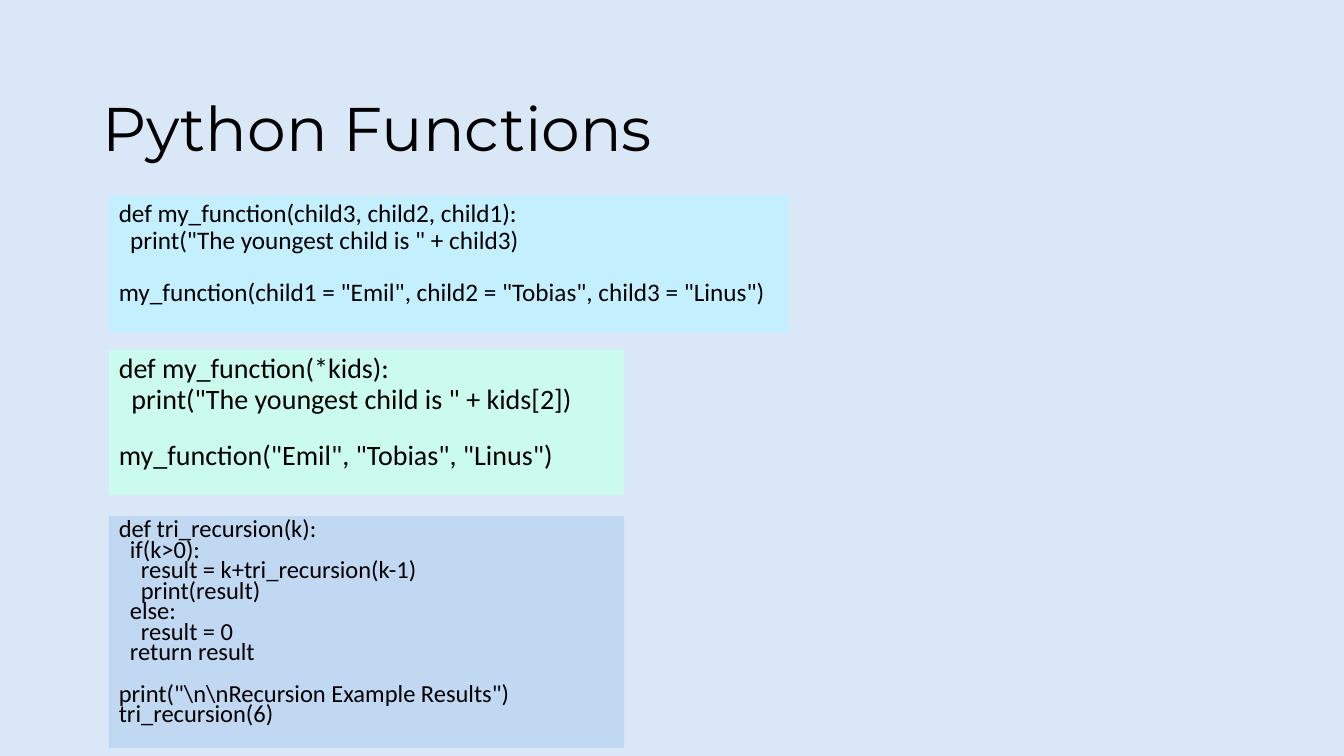
from pptx import Presentation
from pptx.dml.color import RGBColor
from pptx.enum import shapes, text
from pptx.util import Inches, Pt

BACKGROUND = "D9E7F7"
TITLE = "Python Functions"
LEFT = 1.08
INDENT_EM = 0.45

KEYWORD_CODE = [
    (0, "def my_function(child3, child2, child1):"),
    (1, 'print("The youngest child is " + child3)'),
    (0, 'my_function(child1 = "Emil", child2 = "Tobias", child3 = "Linus")'),
]
ARGS_CODE = [
    (0, "def my_function(*kids):"),
    (1, 'print("The youngest child is " + kids[2])'),
    (0, 'my_function("Emil", "Tobias", "Linus")'),
]
RECURSION_CODE = [
    (0, "def tri_recursion(k):"),
    (1, "if(k>0):"),
    (2, "result = k+tri_recursion(k-1)"),
    (2, "print(result)"),
    (1, "else:"),
    (2, "result = 0"),
    (1, "return result"),
    (0, r'print("\n\nRecursion Example Results")'),
    (0, "tri_recursion(6)"),
]
PANELS = [
    dict(top=1.94, width=6.74, height=1.36, fill="C4EFFF",
         size=18, spacing=0.9, gap=17.5, code=KEYWORD_CODE),
    dict(top=3.47, width=5.11, height=1.44, fill="CAFBED",
         size=20, spacing=0.9, gap=19, code=ARGS_CODE),
    dict(top=5.12, width=5.11, height=2.3, fill="C1D8F2",
         size=17.5, spacing=0.7, gap=15, code=RECURSION_CODE),
]


def color(value):
    return RGBColor.from_string(value)


def write(p, content, size=18, font="Calibri", ink="000000",
          spacing=0.9, before=0, indent=0):
    p.alignment = text.PP_ALIGN.LEFT
    p.line_spacing = spacing
    p.space_before = Pt(before)
    pPr = p._p.get_or_add_pPr()
    pPr.set("marL", str(Pt(indent)))
    pPr.set("indent", "0")
    r = p.add_run()
    r.text = content
    r.font.size = Pt(size)
    r.font.name = font
    r.font.color.rgb = color(ink)


def add_panel(s, top, width, height, fill, size, spacing, gap, code):
    sp = s.shapes.add_shape(shapes.MSO_SHAPE.RECTANGLE, Inches(LEFT),
                            Inches(top), Inches(width), Inches(height))
    sp.shadow.inherit = False
    sp.fill.solid()
    sp.fill.fore_color.rgb = color(fill)
    sp.line.fill.background()
    tf = sp.text_frame
    tf.word_wrap = True
    tf.vertical_anchor = text.MSO_ANCHOR.TOP
    previous = 0
    for i, (level, line) in enumerate(code):
        p = tf.add_paragraph() if i else tf.paragraphs[0]
        leaves_body = level == 0 and previous > 0
        write(p, line, size=size, spacing=spacing,
              before=gap if leaves_body else 0,
              indent=level * INDENT_EM * size)
        previous = level


def main():
    prs = Presentation()
    prs.slide_width, prs.slide_height = Inches(13.33), Inches(7.5)
    s = prs.slides.add_slide(prs.slide_layouts[6])
    s.background.fill.solid()
    s.background.fill.fore_color.rgb = color(BACKGROUND)

    title = s.shapes.add_textbox(Inches(0.92), Inches(0.85),
                                 Inches(11.5), Inches(0.91))
    tf = title.text_frame
    tf.word_wrap = True
    tf.vertical_anchor = text.MSO_ANCHOR.MIDDLE
    write(tf.paragraphs[0], TITLE, size=44, font="Montserrat")

    for panel in PANELS:
        add_panel(s, **panel)
    prs.save("out.pptx")


if __name__ == "__main__":
    main()
